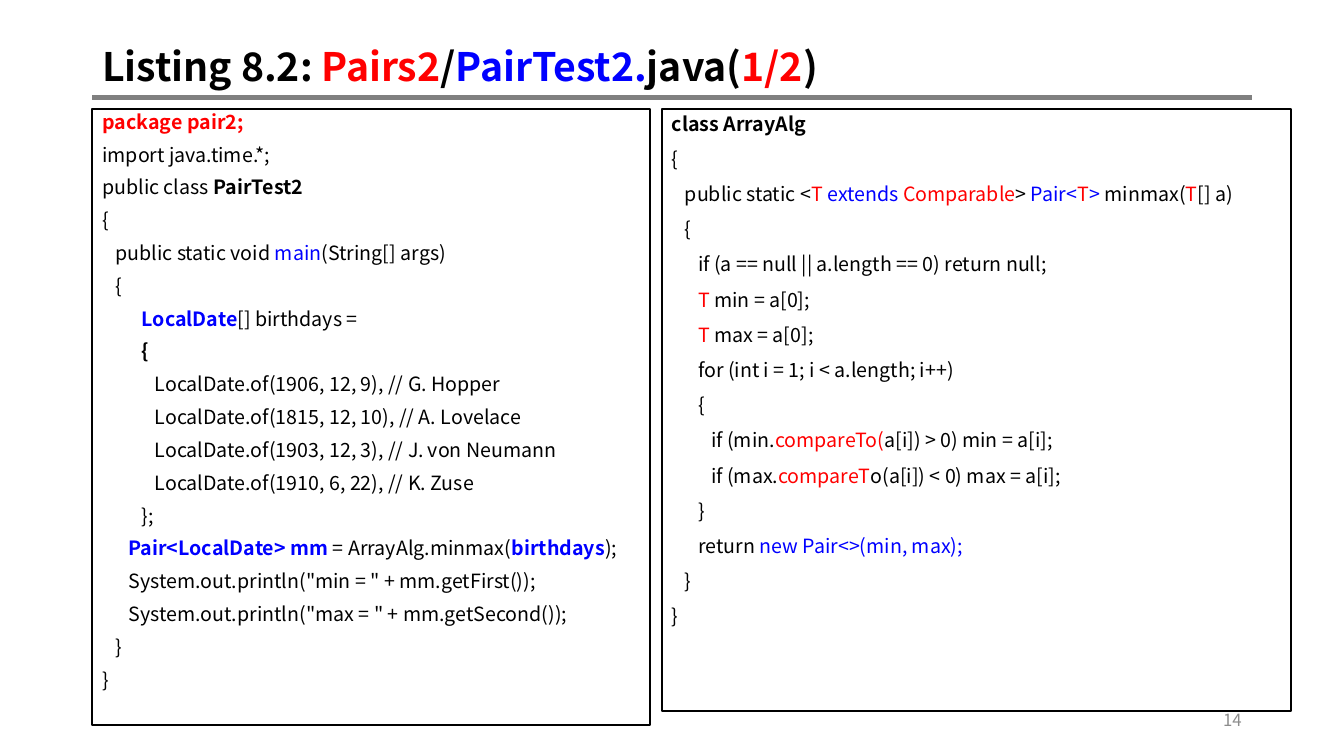
from dataclasses import dataclass

from lxml.etree import SubElement
from pptx import Presentation
from pptx.dml.color import RGBColor
from pptx.enum.shapes import MSO_CONNECTOR, MSO_SHAPE
from pptx.enum.text import MSO_ANCHOR, PP_ALIGN
from pptx.oxml.ns import qn
from pptx.util import Inches, Pt

COLS, ROWS = 160, 90


@dataclass(frozen=True)
class Theme:
    font: str = "Noto Sans CJK KR"
    black: str = "000000"
    red: str = "FF0000"
    blue: str = "0000FF"
    rule: str = "808080"
    muted: str = "8C8C8C"
    title_size: int = 28
    code_size: int = 14
    number_size: int = 12
    code_gap: int = 10
    indent: float = 0.13
    border: float = 1.5
    rule_width: int = 3


class SlideBuilder:
    def __init__(self, prs, theme):
        self.theme = theme
        self.s = prs.slides.add_slide(prs.slide_layouts[6])
        self.col = prs.slide_width / COLS
        self.row = prs.slide_height / ROWS

    def place(self, x, y, w, h):
        """Turn grid columns and rows into lengths."""
        return [round(n) for n in (x * self.col, y * self.row, w * self.col, h * self.row)]

    def runs(self, p, parts, size, base=None, bold=False):
        """Add runs; a part is text, or (text, colour, bold)."""
        t = self.theme
        for part in parts:
            text, color, strong = (part, base or t.black, bold) if isinstance(part, str) else part
            r = p.add_run()
            r.text = text
            r.font.name, r.font.size, r.font.bold = t.font, Pt(size), strong
            r.font.color.rgb = RGBColor.from_string(color)

    def label(self, box, parts, size, color=None, bold=False, align=PP_ALIGN.LEFT):
        tf = self.s.shapes.add_textbox(*self.place(*box)).text_frame
        tf.word_wrap = True
        tf.vertical_anchor = MSO_ANCHOR.MIDDLE
        p = tf.paragraphs[0]
        p.alignment, p.line_spacing = align, 0.9
        self.runs(p, parts, size, color, bold)

    def rule(self, x, y, w):
        left, top, width, _ = self.place(x, y, w, 0)
        line = self.s.shapes.add_connector(MSO_CONNECTOR.STRAIGHT, left, top, left + width, top)
        line.line.color.rgb = RGBColor.from_string(self.theme.rule)
        line.line.width = Pt(self.theme.rule_width)
        SubElement(line._element.spPr, qn("a:effectLst"))

    def code(self, box, lines, spacing):
        """Draw a framed listing; each line is (indent level, parts...)."""
        t = self.theme
        sp = self.s.shapes.add_shape(MSO_SHAPE.RECTANGLE, *self.place(*box))
        sp.shadow.inherit = False
        sp.fill.background()
        sp.line.color.rgb = RGBColor.from_string(t.black)
        sp.line.width = Pt(t.border)
        tf = sp.text_frame
        tf.word_wrap = True
        tf.vertical_anchor = MSO_ANCHOR.TOP
        for i, (level, *parts) in enumerate(lines):
            p = tf.add_paragraph() if i else tf.paragraphs[0]
            p.alignment, p.line_spacing = PP_ALIGN.LEFT, spacing
            p.space_before = Pt(t.code_gap)
            p._p.get_or_add_pPr().set("marL", str(Inches(level * t.indent)))
            self.runs(p, parts, t.code_size)


THEME = Theme()


def red(text, bold=False):
    return text, THEME.red, bold


def blue(text, bold=False):
    return text, THEME.blue, bold


def strong(text):
    return text, THEME.black, True


BIRTHDAYS = [
    ("1906, 12, 9", "G. Hopper"),
    ("1815, 12, 10", "A. Lovelace"),
    ("1903, 12, 3", "J. von Neumann"),
    ("1910, 6, 22", "K. Zuse"),
]

PAIR_TEST = [
    (0, red("package pair2;", True)),
    (0, "import java.time.*;"),
    (0, "public class ", strong("PairTest2")),
    (0, "{"),
    (1, "public static void ", blue("main"), "(String[] args)"),
    (1, "{"),
    (3, blue("LocalDate", True), "[] birthdays ="),
    (3, strong("{")),
    *[(4, f"LocalDate.of({date}), // {name}") for date, name in BIRTHDAYS],
    (3, "};"),
    (2, blue("Pair<LocalDate> mm ", True), "= ArrayAlg.minmax(", blue("birthdays", True), ");"),
    *[(2, f'System.out.println("{word} = " + mm.get{getter}());')
      for word, getter in (("min", "First"), ("max", "Second"))],
    (1, "}"),
    (0, "}"),
]

ARRAY_ALG = [
    (0, strong("class ArrayAlg")),
    (0, "{"),
    (1, "public static <", red("T "), blue("extends"), red(" Comparable"), "> ",
     blue("Pair<"), red("T"), blue("> "), "minmax(", red("T"), "[] a)"),
    (1, "{"),
    (2, "if (a == null || a.length == 0) return null;"),
    *[(2, red("T"), f" {word} = a[0];") for word in ("min", "max")],
    (2, "for (int i = 1; i < a.length; i++)"),
    (2, "{"),
    (3, "if (min.", red("compareTo("), "a[i]) > 0) min = a[i];"),
    (3, "if (max.", red("compareT"), "o(a[i]) < 0) max = a[i];"),
    (2, "}"),
    (2, "return ", blue("new Pair<>(min, max);")),
    (1, "}"),
    (0, "}"),
]


def main():
    prs = Presentation()
    prs.slide_width, prs.slide_height = Inches(13.33), Inches(7.5)
    page = SlideBuilder(prs, THEME)

    # Title and rule
    page.rule(11, 11.6, 138)
    title = ["Listing 8.2: ", red("Pairs2", True), "/", blue("PairTest2.", True),
             "java(", red("1/2", True), ")"]
    page.label((11, 4.8, 138, 6.7), title, THEME.title_size, bold=True)

    # Page number
    page.label((113, 83.4, 36, 4.8), ["14"], THEME.number_size, THEME.muted,
               align=PP_ALIGN.RIGHT)

    # Code listings
    page.code((11, 13, 66.4, 73.3), PAIR_TEST, 0.8)
    page.code((78.8, 13, 74.9, 71.6), ARRAY_ALG, 0.9)

    prs.save("out.pptx")


if __name__ == "__main__":
    main()
